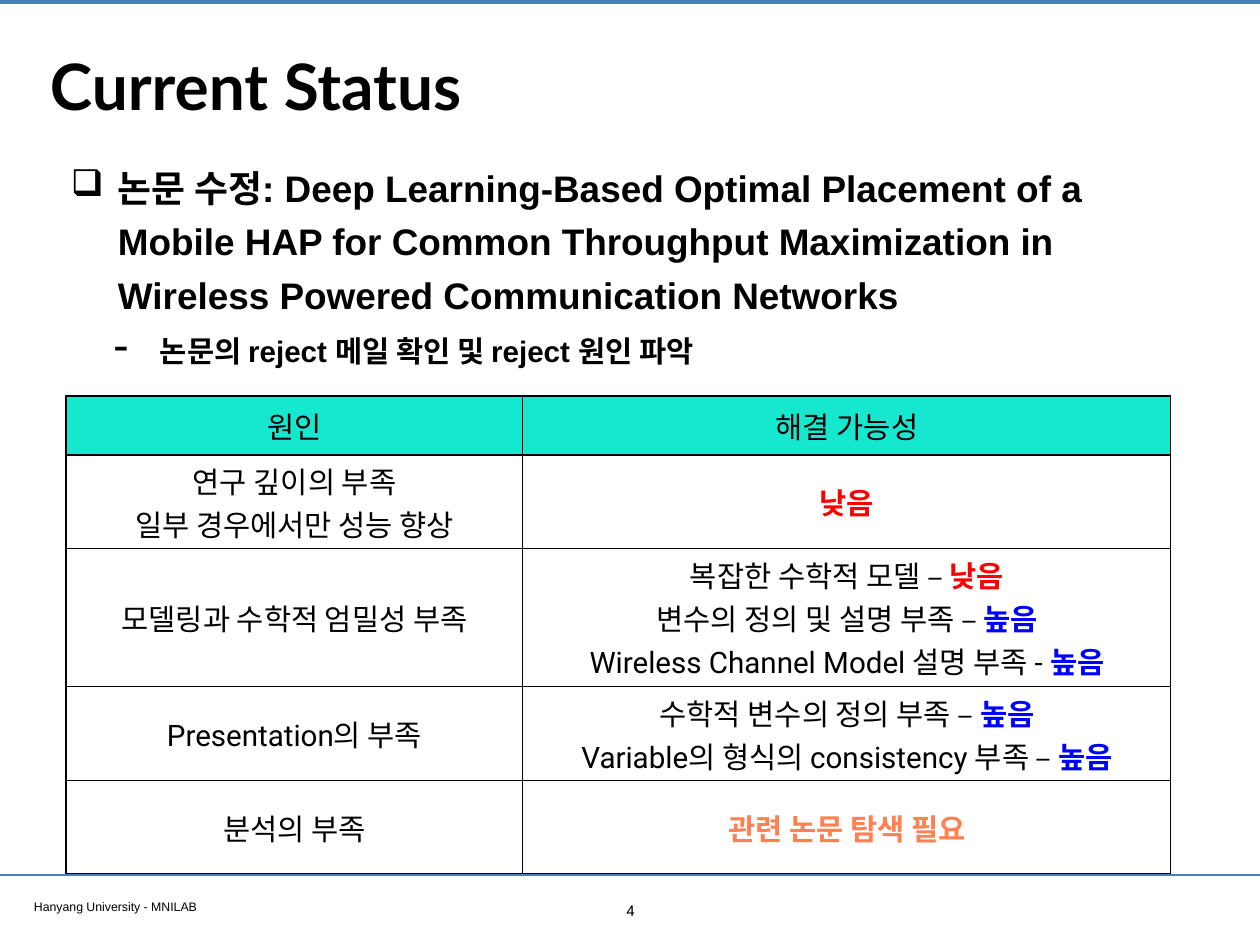
from lxml.etree import SubElement
from pptx import Presentation
from pptx.dml.color import RGBColor
from pptx.enum.shapes import MSO_CONNECTOR
from pptx.enum.text import MSO_ANCHOR, PP_ALIGN
from pptx.oxml import parse_xml
from pptx.oxml.ns import nsdecls, qn
from pptx.util import Pt

PX = 10320  # EMU per px
BLACK = RGBColor(0x00, 0x00, 0x00)
RULE_BLUE = RGBColor(0x4A, 0x7E, 0xBB)
HEADER_TEAL = RGBColor(0x16, 0xE7, 0xCF)
LOW_RED = RGBColor(0xFF, 0x00, 0x00)
HIGH_BLUE = RGBColor(0x00, 0x00, 0xFF)
SURVEY_ORANGE = RGBColor(0xFF, 0x80, 0x50)


def add_text_frame(left, top, width, height, anchor=MSO_ANCHOR.TOP):
    frame = slide.shapes.add_textbox(left * PX, top * PX, width * PX, height * PX).text_frame
    frame.word_wrap = True
    frame.vertical_anchor = anchor
    frame.margin_left = frame.margin_right = frame.margin_top = frame.margin_bottom = 5 * PX
    return frame


def add_run(paragraph, text, size, font, color=BLACK, bold=False):
    run = paragraph.add_run()
    run.text = text
    run.font.size = Pt(size)
    run.font.name = font
    run.font.bold = bold
    run.font.color.rgb = color


prs = Presentation()
prs.slide_width, prs.slide_height = 1260 * PX, 945 * PX
slide = prs.slides.add_slide(prs.slide_layouts[6])

# Rules at the top and above the footer
for y, weight in [(2, 3.2), (875, 2)]:
    rule = slide.shapes.add_connector(MSO_CONNECTOR.STRAIGHT, 0, y * PX, 1260 * PX, y * PX)
    rule.line.color.rgb = RULE_BLUE
    rule.line.width = Pt(weight)
    SubElement(rule._element.spPr, qn("a:effectLst"))

# Footer and title
footer = add_text_frame(29, 894, 484, 23)
add_run(footer.paragraphs[0], "Hanyang University - MNILAB", 10, "Arial")

title = add_text_frame(45, 25, 1170, 120, MSO_ANCHOR.MIDDLE)
add_run(title.paragraphs[0], "Current Status", 52, "Lato", bold=True)

# Paper under revision
body = add_text_frame(66, 152, 1130, 230)
outline = [
    ("논문 수정: Deep Learning-Based Optimal Placement of a Mobile HAP for Common Throughput "
     "Maximization in Wireless Powered Communication Networks", 30, "❑", 100, 47, 47),
    ("논문의 reject 메일 확인 및 reject 원인 파악", 24, "-", 145, 89, 46),
]
for level, (text, size, bullet, bullet_percent, indent, hanging) in enumerate(outline):
    item = body.add_paragraph() if level else body.paragraphs[0]
    item.level = level
    item.line_spacing = 1.2
    item.space_before = Pt(8 * level)
    props = item._p.get_or_add_pPr()
    props.set("marL", str(indent * PX))
    props.set("indent", str(-hanging * PX))
    SubElement(props, qn("a:buSzPct"), val=str(bullet_percent * 1000))
    SubElement(props, qn("a:buChar"), char=bullet)
    add_run(item, text, size, "Arial", bold=True)

# Page number
page = add_text_frame(613, 897, 35, 27)
page.paragraphs[0].alignment = PP_ALIGN.CENTER
add_run(page.paragraphs[0], "4", 12, "Roboto")

# Rejection reasons: each cell is a list of lines, each line a list of (text, color)
LOW, HIGH = ("낮음", LOW_RED), ("높음", HIGH_BLUE)
reasons = [
    ([[("원인", BLACK)]], [[("해결 가능성", BLACK)]]),
    ([[("연구 깊이의 부족", BLACK)], [("일부 경우에서만 성능 향상", BLACK)]], [[LOW]]),
    ([[("모델링과 수학적 엄밀성 부족", BLACK)]],
     [[("복잡한 수학적 모델 – ", BLACK), LOW],
      [("변수의 정의 및 설명 부족 – ", BLACK), HIGH],
      [("Wireless Channel Model 설명 부족 - ", BLACK), HIGH]]),
    ([[("Presentation의 부족", BLACK)]],
     [[("수학적 변수의 정의 부족 – ", BLACK), HIGH],
      [("Variable의 형식의 consistency 부족 – ", BLACK), HIGH]]),
    ([[("분석의 부족", BLACK)]], [[("관련 논문 탐색 필요", SURVEY_ORANGE)]]),
]
column_widths = [457, 648]
row_heights = [59, 94, 138, 94, 93]
table = slide.shapes.add_table(len(reasons), 2, 66 * PX, 396 * PX,
                               sum(column_widths) * PX, sum(row_heights) * PX).table
table.horz_banding = False
for column, width in zip(table.columns, column_widths):
    column.width = width * PX
for row, height in zip(table.rows, row_heights):
    row.height = height * PX

for r, reason in enumerate(reasons):
    for c, lines in enumerate(reason):
        cell = table.cell(r, c)
        cell.vertical_anchor = MSO_ANCHOR.MIDDLE
        if r == 0:
            cell.fill.solid()
            cell.fill.fore_color.rgb = HEADER_TEAL
        else:
            cell.fill.background()
        for position, side in enumerate(["lnL", "lnR", "lnT", "lnB"]):
            border = parse_xml(
                f'<a:{side} {nsdecls("a")} w="{Pt(1)}"><a:solidFill>'
                f'<a:srgbClr val="{BLACK}"/></a:solidFill></a:{side}>')
            cell._tc.get_or_add_tcPr().insert(position, border)
        for i, line in enumerate(lines):
            paragraph = cell.text_frame.add_paragraph() if i else cell.text_frame.paragraphs[0]
            paragraph.alignment = PP_ALIGN.CENTER
            for text, color in line:
                add_run(paragraph, text, 24, "Roboto", color, bold=color != BLACK)

prs.save("out.pptx")
